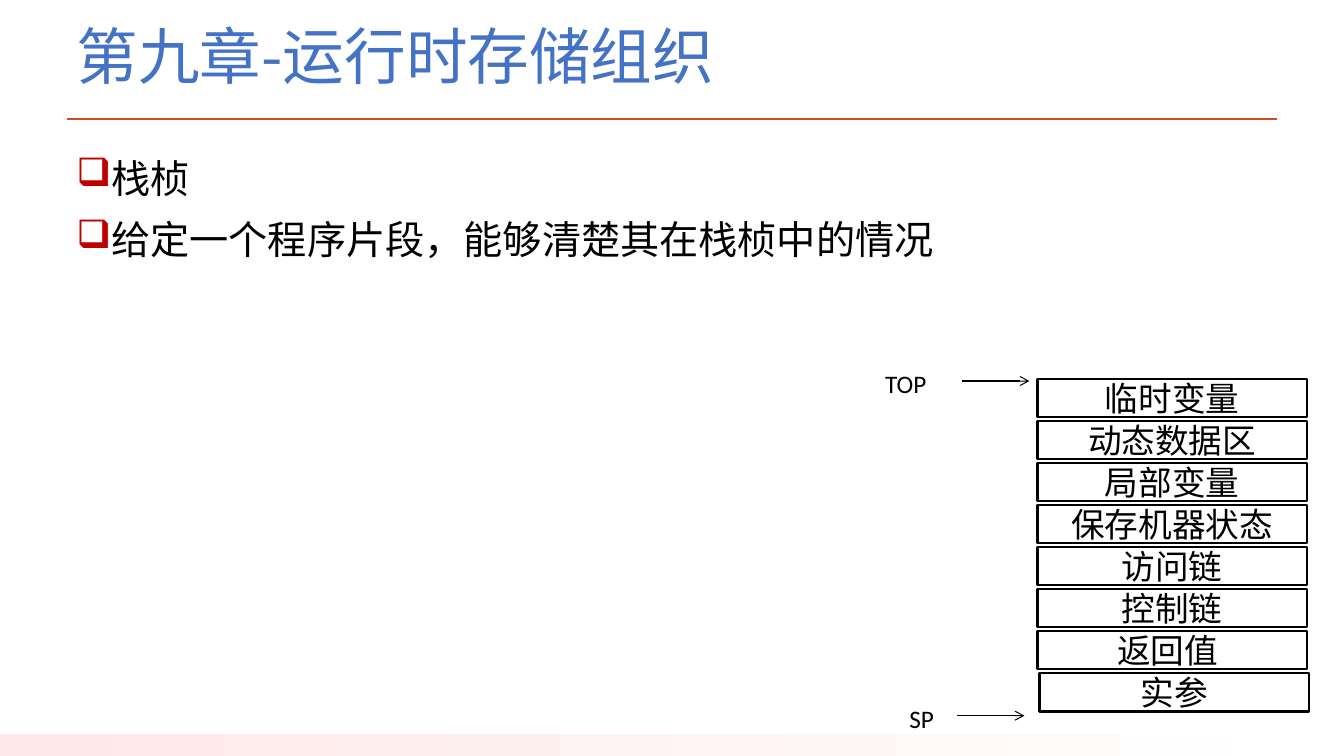
"""Build the runtime storage organisation slide with its stack frame diagram."""
from lxml import etree
from pptx import Presentation
from pptx.dml.color import RGBColor
from pptx.enum.shapes import MSO_CONNECTOR, MSO_SHAPE
from pptx.enum.text import MSO_ANCHOR, PP_ALIGN
from pptx.oxml.ns import qn
from pptx.util import Inches, Pt

RECTANGLE = MSO_SHAPE.RECTANGLE
STRAIGHT = MSO_CONNECTOR.STRAIGHT
MIDDLE = MSO_ANCHOR.MIDDLE
CENTER = PP_ALIGN.CENTER

TITLE = "第九章-运行时存储组织"
BULLETS = ["栈桢", "给定一个程序片段，能够清楚其在栈桢中的情况"]
FRAME_FIELDS = ["临时变量", "动态数据区", "局部变量", "保存机器状态",
                "访问链", "控制链", "返回值 ", "实参"]
POINTERS = [
    {"text": "TOP", "label": (8.68, 3.61, 0.98, 0.4), "arrow": (9.54, 3.78)},
    {"text": "SP", "label": (8.92, 6.93, 0.69, 0.4), "arrow": (9.49, 7.1)},
]
COLORS = {"title": "4472C4", "rule": "D24726", "bullet": "C00000",
          "ink": "000000", "band_start": "FFE8E8", "band_end": "FFFFFF"}
FRAME_LEFT, FRAME_TOP, FRAME_PITCH = 10.29, 3.76, 0.417
FIELD_WIDTH, FIELD_HEIGHT = 2.67, 0.38
LAST_FIELD_SHIFT = 0.02
ARROW_LENGTH = 0.67


def color(name):
    return RGBColor.from_string(COLORS[name])


def format_runs(paragraph, size, font_name, color_name):
    for run in paragraph.runs:
        run.font.size = Pt(size)
        run.font.name = font_name
        run.font.color.rgb = color(color_name)
        east_asian = etree.SubElement(run.font._element, qn("a:ea"))
        east_asian.set("typeface", font_name)


def add_text(slide, box, lines, size, font_name, color_name):
    shape = slide.shapes.add_textbox(*map(Inches, box))
    shape.text_frame.word_wrap = True
    shape.text_frame.text = "\n".join(lines)
    for paragraph in shape.text_frame.paragraphs:
        format_runs(paragraph, size, font_name, color_name)
    return shape.text_frame


def add_bullet(paragraph):
    properties = paragraph._p.get_or_add_pPr()
    properties.set("marL", str(Inches(0.25)))
    properties.set("indent", str(-Inches(0.25)))
    bullet_color = etree.SubElement(properties, qn("a:buClr"))
    etree.SubElement(bullet_color, qn("a:srgbClr")).set("val", COLORS["bullet"])
    etree.SubElement(properties, qn("a:buChar")).set("char", "❑")


def add_line(slide, start, end, color_name, width):
    line = slide.shapes.add_connector(STRAIGHT, *map(Inches, start + end))
    line.line.color.rgb = color(color_name)
    line.line.width = Pt(width)
    etree.SubElement(line._element.spPr, qn("a:effectLst"))
    return line


def add_band(slide):
    band = slide.shapes.add_shape(
        RECTANGLE, *map(Inches, (0, 7.28, 13.33, 0.22)))
    band.shadow.inherit = False
    band.line.fill.background()
    band.fill.gradient()
    band.fill.gradient_angle = 0
    stops = zip(band.fill.gradient_stops, (0, 1), ("band_start", "band_end"))
    for stop, position, color_name in stops:
        stop.position = position
        stop.color.rgb = color(color_name)


def add_field(slide, index, text):
    left = FRAME_LEFT
    if index == len(FRAME_FIELDS) - 1:
        left += LAST_FIELD_SHIFT
    box = (left, FRAME_TOP + index * FRAME_PITCH, FIELD_WIDTH, FIELD_HEIGHT)
    field = slide.shapes.add_shape(RECTANGLE, *map(Inches, box))
    field.shadow.inherit = False
    field.fill.background()
    field.line.color.rgb = color("ink")
    field.line.width = Pt(1.5)
    frame = field.text_frame
    frame.word_wrap = False
    frame.vertical_anchor = MIDDLE
    frame.text = text
    frame.paragraphs[0].alignment = CENTER
    format_runs(frame.paragraphs[0], 24, "Arial", "ink")


def add_pointer(slide, pointer):
    left, top = pointer["arrow"]
    arrow = add_line(slide, (left, top), (left + ARROW_LENGTH, top), "ink", 0.75)
    tail = etree.SubElement(arrow.line._get_or_add_ln(), qn("a:tailEnd"))
    tail.set("type", "arrow")
    add_text(slide, pointer["label"], [pointer["text"]], 18, "Calibri", "ink")


def main():
    presentation = Presentation()
    presentation.slide_width = Inches(13.33)
    presentation.slide_height = Inches(7.5)
    slide = presentation.slides.add_slide(presentation.slide_layouts[6])

    add_band(slide)
    add_line(slide, (0.66, 1.18), (12.67, 1.18), "rule", 2)
    title = add_text(slide, (0.66, 0, 11.5, 1.18), [TITLE], 44,
                     "Noto Sans CJK SC", "title")
    title.vertical_anchor = MIDDLE
    title.paragraphs[0].line_spacing = 0.9

    body = add_text(slide, (0.66, 1.48, 12.01, 5.28), BULLETS, 28,
                    "Calibri", "ink")
    for index, paragraph in enumerate(body.paragraphs):
        add_bullet(paragraph)
        if index:
            paragraph.space_before = Pt(10)

    for index, text in enumerate(FRAME_FIELDS):
        add_field(slide, index, text)
    for pointer in POINTERS:
        add_pointer(slide, pointer)
    presentation.save("out.pptx")


if __name__ == "__main__":
    main()
